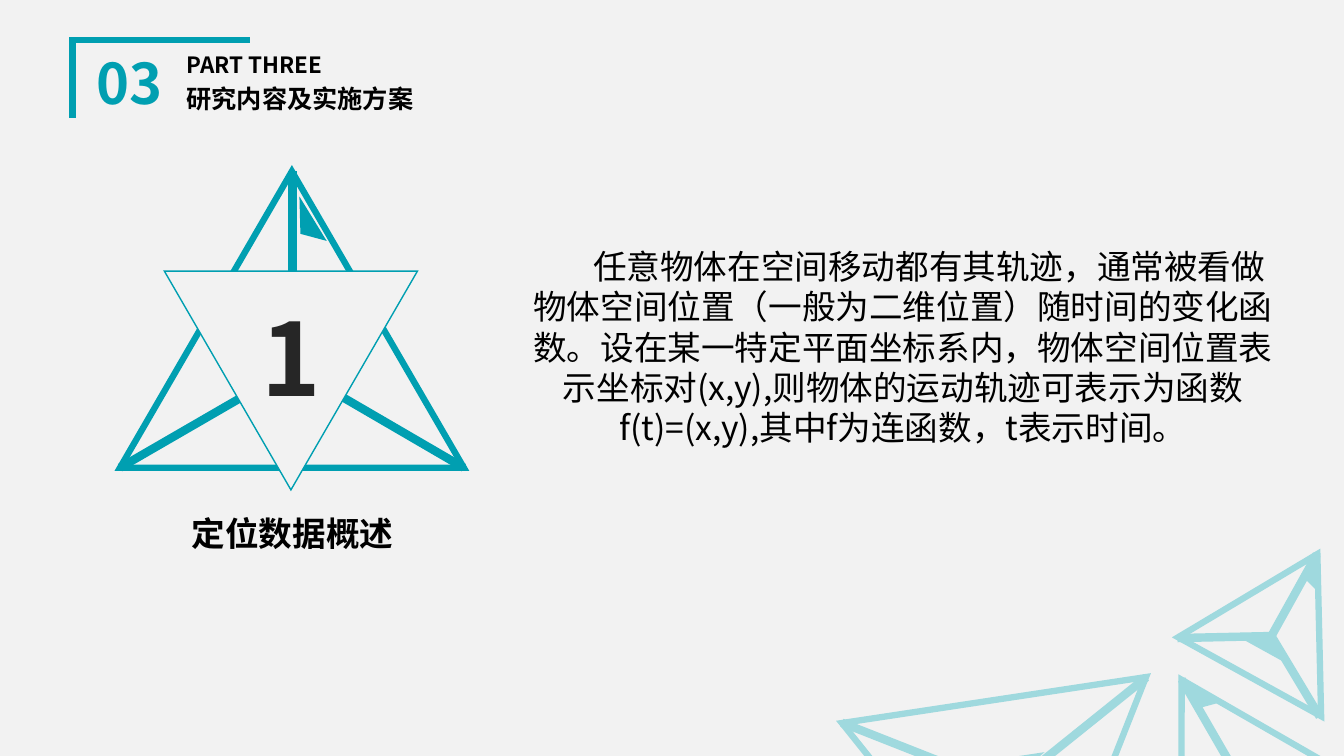
"""Builds the section slide on positioning data with its triangle ornaments."""
from dataclasses import dataclass

from lxml.etree import SubElement
from pptx import Presentation
from pptx.dml.color import RGBColor
from pptx.enum.shapes import MSO_CONNECTOR, MSO_SHAPE
from pptx.enum.text import MSO_ANCHOR, MSO_AUTO_SIZE, PP_ALIGN
from pptx.oxml.ns import qn
from pptx.util import Inches, Pt

FONT = "Noto Sans CJK SC"
TEAL, PALE_TEAL, PAPER, BLACK, CHARCOAL = "009FB1", "9FD9DE", "F2F2F2", "000000", "262626"
Point = tuple[float, float]
Box = tuple[float, float, float, float]


@dataclass(frozen=True)
class Triangle:
    box: Box
    rotation: float = 0
    fill: str = PAPER
    weight: float = 4.5


@dataclass(frozen=True)
class Pyramid:
    color: str
    outline: Triangle
    hub: Point
    corners: tuple[Point, ...]
    facets: tuple[Triangle, ...] = ()
    shard: tuple[Point, ...] = ()
    shard_weight: float = 1


@dataclass(frozen=True)
class Label:
    text: str
    box: Box
    size: float
    color: str = BLACK
    bold: bool = True
    align: PP_ALIGN = PP_ALIGN.CENTER
    wrap: bool = True
    line_spacing: float = 1.0
    anchor: MSO_ANCHOR = MSO_ANCHOR.TOP
    indent: float = 0


PYRAMIDS = (
    Pyramid(PALE_TEAL, Triangle((8.53, 6.93, 3.05, 2.63), 171.4), (10, 7.82),
            ((11.37, 6.72), (8.35, 7.17)),
            (Triangle((9.57, 7.53, 0.79, 0.24), 171.4, PALE_TEAL, 1),)),
    Pyramid(PALE_TEAL, Triangle((11.16, 6.63, 1.97, 1.7), 330), (12.28, 7.71),
            ((11.72, 6.74),), (), ((11.92, 7.01), (12.07, 6.97), (11.81, 6.82))),
    Pyramid(PALE_TEAL, Triangle((11.92, 5.41, 1.62, 1.39), 28.9), (12.61, 6.31),
            ((13.06, 5.5), (11.68, 6.33), (13.09, 7.11)),
            (Triangle((12.36, 6.33, 0.42, 0.13), 28.9, PALE_TEAL, 1),),
            ((12.96, 5.75), (13.05, 5.84), (13.04, 5.6))),
    Pyramid(TEAL, Triangle((1.19, 1.7, 3.41, 2.94)), (2.9, 3.65),
            ((2.9, 1.7), (1.19, 4.64), (4.6, 4.64)), (),
            ((2.98, 2.32), (3.24, 2.39), (2.97, 1.95)), 0),
)
NUMBER_FRAME = Triangle((1.63, 2.69, 2.51, 2.17), 180, PAPER, 1)
BRACKET = ((0.72, 1.17), (0.72, 0.4), (2.48, 0.4))

HEADINGS = (
    Label("研究内容及实施方案", (1.75, 0.78, 2.67, 0.44), 18, align=PP_ALIGN.LEFT,
          line_spacing=0.9, anchor=MSO_ANCHOR.MIDDLE),
    Label("03", (0.82, 0.49, 0.93, 0.73), 40, TEAL,
          line_spacing=0.9, anchor=MSO_ANCHOR.MIDDLE),
    Label("PART THREE", (1.75, 0.49, 2.67, 0.34), 16, align=PP_ALIGN.LEFT,
          line_spacing=0.9, anchor=MSO_ANCHOR.MIDDLE),
)
TEXTS = (
    Label("定位数据概述", (1.79, 5.04, 2.22, 0.5), 24, wrap=False),
    Label("1", (2.48, 2.88, 0.82, 1.31), 72, CHARCOAL, wrap=False),
    Label("任意物体在空间移动都有其轨迹，通常被看做物体空间位置（一般为二维位置）"
          "随时间的变化函数。设在某一特定平面坐标系内，物体空间位置表示坐标对(x,y),"
          "则物体的运动轨迹可表示为函数f(t)=(x,y),其中f为连函数，t表示时间。",
          (5.14, 2.39, 7.63, 2.12), 24, bold=False, indent=0.52),
)


def paint(target, color: str) -> None:
    """Give a fill a solid colour."""
    target.solid()
    target.fore_color.rgb = RGBColor.from_string(color)


def style(shape, fill: str | None, line: str, weight: float) -> None:
    """Set fill and a mitred outline, and drop the shadow."""
    shape.shadow.inherit = False
    if fill:
        paint(shape.fill, fill)
    else:
        shape.fill.background()
    if weight:
        paint(shape.line.fill, line)
        shape.line.width = Pt(weight)
        outline = shape._element.spPr.find(qn("a:ln"))
        SubElement(outline, qn("a:miter"), lim="800000")
    else:
        shape.line.fill.background()


def draw_triangle(slide, triangle: Triangle, line: str) -> None:
    """Draw one rotated triangle."""
    shape = slide.shapes.add_shape(MSO_SHAPE.ISOSCELES_TRIANGLE, *map(Inches, triangle.box))
    shape.rotation = triangle.rotation
    style(shape, triangle.fill, line, triangle.weight)


def draw_outline(slide, points: tuple[Point, ...], fill: str | None,
                 line: str, weight: float) -> None:
    """Draw a polygon, left open when it has no fill."""
    start, *rest = [(Inches(x), Inches(y)) for x, y in points]
    builder = slide.shapes.build_freeform(*start)
    builder.add_line_segments(rest, close=fill is not None)
    style(builder.convert_to_shape(), fill, line, weight)


def draw_spoke(slide, start: Point, end: Point, color: str) -> None:
    """Draw a thick line from a corner to the hub."""
    spoke = slide.shapes.add_connector(MSO_CONNECTOR.STRAIGHT, *map(Inches, start + end))
    paint(spoke.line.fill, color)
    spoke.line.width = Pt(6)
    SubElement(spoke._element.spPr, qn("a:effectLst"))


def draw_pyramid(slide, pyramid: Pyramid) -> None:
    """Draw a triangle with spokes to its hub and shaded facets."""
    draw_triangle(slide, pyramid.outline, pyramid.color)
    for corner in pyramid.corners:
        draw_spoke(slide, corner, pyramid.hub, pyramid.color)
    for facet in pyramid.facets:
        draw_triangle(slide, facet, pyramid.color)
    if pyramid.shard:
        draw_outline(slide, pyramid.shard, pyramid.color, pyramid.color, pyramid.shard_weight)


def write(holder, label: Label) -> None:
    """Place a text holder and fill it with one formatted run."""
    holder.left, holder.top, holder.width, holder.height = map(Inches, label.box)
    frame = holder.text_frame
    frame.word_wrap = label.wrap
    frame.auto_size = MSO_AUTO_SIZE.NONE
    frame.vertical_anchor = label.anchor
    paragraph = frame.paragraphs[0]
    properties = paragraph._p.get_or_add_pPr()
    properties.set("marL", "0")
    properties.set("indent", str(Inches(label.indent)))
    SubElement(properties, qn("a:buNone"))
    paragraph.alignment = label.align
    paragraph.line_spacing = label.line_spacing
    paragraph.space_before = Pt(0)
    run = paragraph.add_run()
    run.text = label.text
    run.font.size = Pt(label.size)
    run.font.bold = label.bold
    run.font.name = FONT
    paint(run.font.fill, label.color)
    SubElement(run._r.get_or_add_rPr(), qn("a:ea"), typeface=FONT)


def main() -> None:
    """Build and save the slide."""
    deck = Presentation()
    deck.slide_width, deck.slide_height = Inches(13.33), Inches(7.5)
    slide = deck.slides.add_slide(deck.slide_layouts[3])
    paint(slide.background.fill, PAPER)
    for placeholder, heading in zip(slide.placeholders, HEADINGS):
        write(placeholder, heading)
    draw_outline(slide, BRACKET, None, TEAL, 4.5)
    for pyramid in PYRAMIDS:
        draw_pyramid(slide, pyramid)
    draw_triangle(slide, NUMBER_FRAME, TEAL)
    for label in TEXTS:
        write(slide.shapes.add_textbox(*map(Inches, label.box)), label)
    deck.save("out.pptx")


if __name__ == "__main__":
    main()
